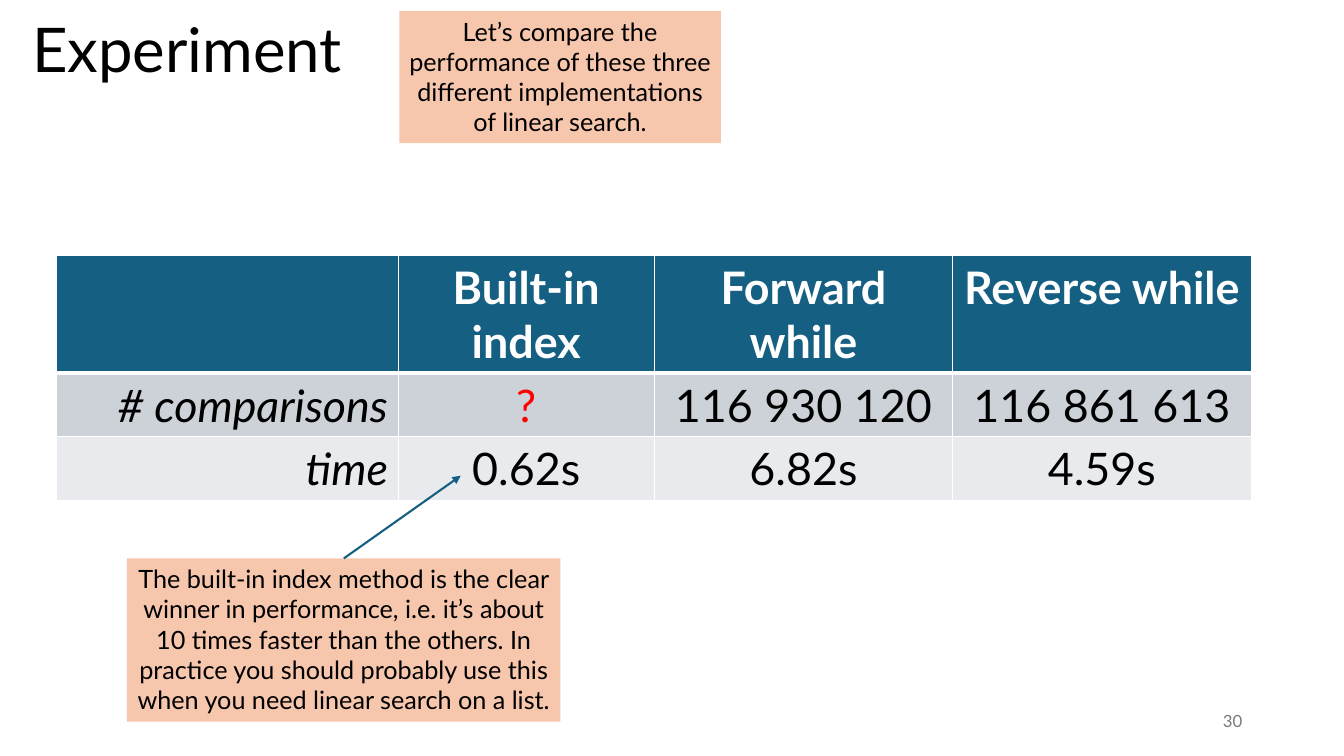
from lxml import etree
from pptx import Presentation
from pptx.dml.color import RGBColor
from pptx.enum.shapes import MSO_CONNECTOR, MSO_SHAPE
from pptx.enum.text import MSO_ANCHOR, PP_ALIGN
from pptx.oxml.ns import qn
from pptx.util import Inches, Pt

LEFT, CENTER, RIGHT = PP_ALIGN.LEFT, PP_ALIGN.CENTER, PP_ALIGN.RIGHT
TOP, MIDDLE = MSO_ANCHOR.TOP, MSO_ANCHOR.MIDDLE
RECT, STRAIGHT = MSO_SHAPE.RECTANGLE, MSO_CONNECTOR.STRAIGHT

# Content
TITLE = "Experiment"
PAGE = "30"
INTRO = ("Let’s compare the performance of these three different "
         "implementations of linear search.")
VERDICT = ("The built-in index method is the clear winner in performance, "
           "i.e. it’s about 10 times faster than the others. In practice you "
           "should probably use this when you need linear search on a list.")
RESULTS = [
    ["", "Built-in index", "Forward while", "Reverse while"],
    ["# comparisons", "?", "116 930 120", "116 861 613"],
    ["time", "0.62s", "6.82s", "4.59s"],
]
COL_WIDTHS = [3.39, 2.54, 2.96, 2.96]
ROW_HEIGHTS = [1.16, 0.63, 0.63]
ROW_FILLS = ["156082", "CCD2D8", "E8EAED"]
FONT, BLUE, PEACH = "Lato", "156082", "F6C6AD"
BLACK, WHITE, RED, GREY = "000000", "FFFFFF", "FF0000", "797979"


def color(value):
    return RGBColor.from_string(value)


def write(tf, text, size=18, fill=BLACK, align=CENTER, anchor=TOP,
          bold=False, italic=False, spacing=None):
    tf.word_wrap = True
    tf.vertical_anchor = anchor
    p = tf.paragraphs[0]
    p.alignment = align
    p.line_spacing = spacing
    r = p.add_run()
    r.text = text
    r.font.name, r.font.size = FONT, Pt(size)
    r.font.bold, r.font.italic = bold, italic
    r.font.color.rgb = color(fill)


def add_text(box, text, **fmt):
    write(s.shapes.add_textbox(*map(Inches, box)).text_frame, text, **fmt)


def add_note(box, text):
    sp = s.shapes.add_shape(RECT, *map(Inches, box))
    sp.shadow.inherit = False
    sp.fill.solid()
    sp.fill.fore_color.rgb = color(PEACH)
    sp.line.fill.background()
    write(sp.text_frame, text)
    return sp


def set_borders(cell, **widths):
    tc_pr = cell._tc.get_or_add_tcPr()
    for side in "LRTB":
        ln = etree.SubElement(tc_pr, qn("a:ln" + side),
                              w=str(Pt(widths.get(side, 1))))
        solid = etree.SubElement(ln, qn("a:solidFill"))
        etree.SubElement(solid, qn("a:srgbClr"), val=WHITE)


prs = Presentation()
prs.slide_width, prs.slide_height = Inches(13.33), Inches(7.5)
s = prs.slides.add_slide(prs.slide_layouts[6])

# Page number, title and introduction
add_text((9.42, 6.95, 3, 0.4), PAGE, size=12, fill=GREY, align=RIGHT,
         anchor=MIDDLE)
add_text((0.22, -0.2, 3.61, 1.45), TITLE, size=44, align=LEFT,
         anchor=MIDDLE, spacing=0.9)
add_note((3.96, 0.11, 3.19, 1.31), INTRO)

# Results table
table = s.shapes.add_table(
    len(RESULTS), len(COL_WIDTHS), Inches(0.56), Inches(2.53),
    Inches(sum(COL_WIDTHS)), Inches(sum(ROW_HEIGHTS))).table
for column, width in zip(table.columns, COL_WIDTHS):
    column.width = Inches(width)
for row, height in zip(table.rows, ROW_HEIGHTS):
    row.height = Inches(height)
for i, values in enumerate(RESULTS):
    for j, value in enumerate(values):
        cell = table.cell(i, j)
        header, label = i == 0, j == 0
        set_borders(cell, T=3 if i == 1 else 1, B=3 if header else 1)
        cell.fill.solid()
        cell.fill.fore_color.rgb = color(ROW_FILLS[i])
        if value:
            ink = WHITE if header else RED if value == "?" else BLACK
            write(cell.text_frame, value, size=32, fill=ink, bold=header,
                  italic=label, align=RIGHT if label else CENTER)

# Verdict, with an arrow to the fastest time
verdict = add_note((1.26, 5.54, 4.3, 1.62), VERDICT)
arrow = s.shapes.add_connector(STRAIGHT, Inches(3.41), Inches(5.54),
                               Inches(4.57), Inches(4.72))
arrow.begin_connect(verdict, 0)
arrow.line.color.rgb = color(BLUE)
arrow.line.width = Pt(1.5)
etree.SubElement(arrow.line._get_or_add_ln(), qn("a:tailEnd"), type="triangle")
etree.SubElement(arrow._element.spPr, qn("a:effectLst"))

prs.save("out.pptx")
